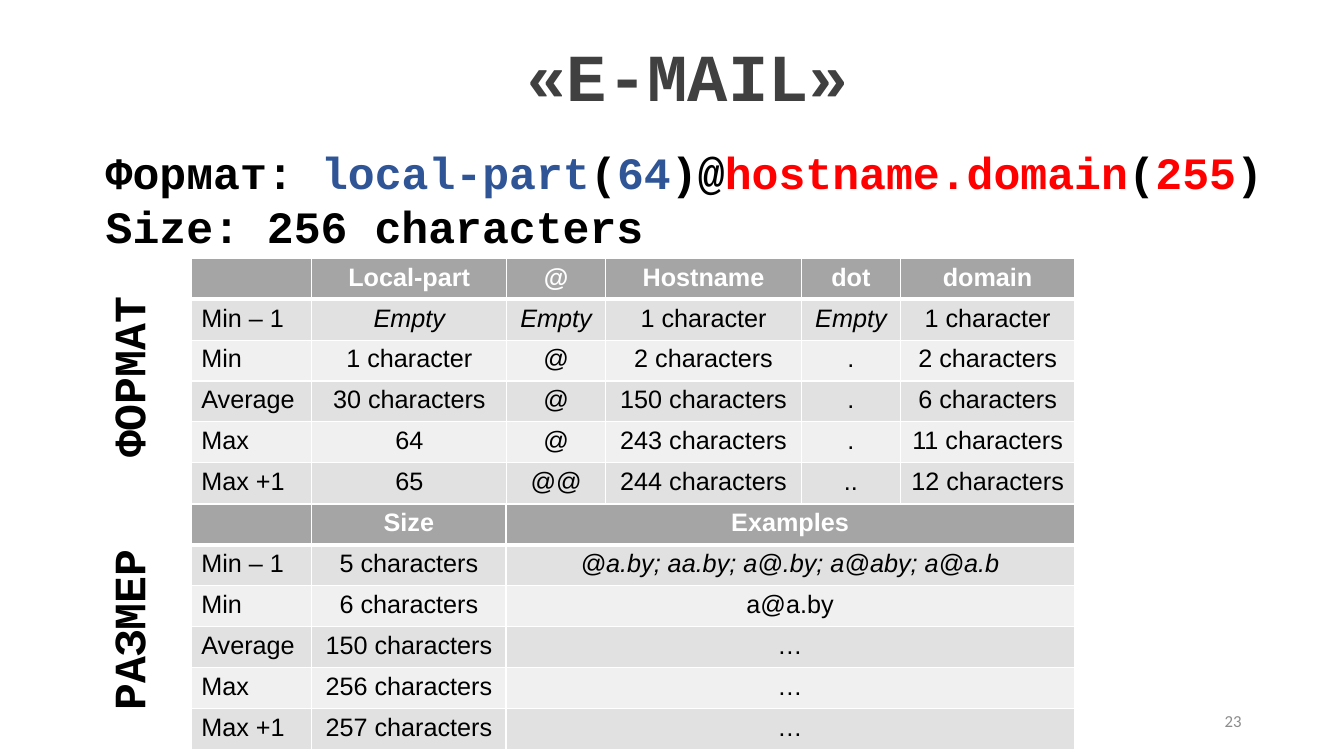
"""Build the slide on e-mail format and size limits."""
from dataclasses import dataclass

from lxml.etree import SubElement
from pptx import Presentation
from pptx.dml.color import RGBColor
from pptx.enum.text import MSO_ANCHOR, MSO_AUTO_SIZE, PP_ALIGN
from pptx.oxml.ns import qn
from pptx.util import Cm, Pt


@dataclass(frozen=True)
class Theme:
    mono: str = "Courier New"
    sans: str = "Arial"
    foot: str = "Calibri"
    title: int = 48
    lead: int = 32
    cell: int = 18
    small: int = 12
    dark: str = "404040"
    black: str = "000000"
    white: str = "FFFFFF"
    blue: str = "2F5597"
    red: str = "FF0000"
    gray: str = "8C8C8C"
    head: str = "A5A5A5"
    bands: tuple = ("F0F0F0", "E1E1E1")


T = Theme()


def write(para, text, face, size, color, bold=False, italic=False):
    run = para.add_run()
    run.text = text
    font = run.font
    font.name, font.size = face, Pt(size)
    font.bold, font.italic = bold, italic
    font.color.rgb = RGBColor.from_string(color)


def place(shape, left, top, width, height):
    shape.left, shape.top = Cm(left), Cm(top)
    shape.width, shape.height = Cm(width), Cm(height)
    frame = shape.text_frame
    frame.word_wrap = False
    frame.auto_size = MSO_AUTO_SIZE.NONE
    frame.vertical_anchor = MSO_ANCHOR.TOP
    return frame


deck = Presentation()
deck.slide_width, deck.slide_height = Cm(33.87), Cm(19.05)
slide = deck.slides.add_slide(deck.slide_layouts[1])
shapes = slide.shapes

frame = place(shapes.title, 12.98, 0.74, 8.71, 2.31)
write(frame.paragraphs[0], "«E-MAIL»", T.mono, T.title, T.dark, True)

lines = [
    [("Формат: ", T.black), ("local-part", T.blue), ("(", T.black),
     ("64", T.blue), (")@", T.black), ("hostname.domain", T.red),
     ("(", T.black), ("255", T.red), (")", T.black)],
    [("Size: 256 characters", T.black)],
]
frame = place(slide.placeholders[1], 2.41, 3.53, 30, 3)
for num, line in enumerate(lines):
    para = frame.add_paragraph() if num else frame.paragraphs[0]
    para.space_before = Pt(0)
    props = para._p.get_or_add_pPr()
    props.set("marL", "0")
    props.set("indent", "0")
    SubElement(props, qn("a:buNone"))
    for text, color in line:
        write(para, text, T.mono, T.lead, color, True)

for label, top in (("ФОРМАТ", 7.42), ("РАЗМЕР", 13.79)):
    box = shapes.add_textbox(0, 0, 0, 0)
    frame = place(box, 2.41, top, 1.88, 4.37)
    box.element.txBody.bodyPr.set("vert", "vert270")
    write(frame.paragraphs[0], label, T.mono, T.lead, T.black, True)

names = ["", "Min – 1", "Min", "Average", "Max", "Max +1"]
parts = [
    ["Local-part", "@", "Hostname", "dot", "domain"],
    ["Empty", "Empty", "1 character", "Empty", "1 character"],
    ["1 character", "@", "2 characters", ".", "2 characters"],
    ["30 characters", "@", "150 characters", ".", "6 characters"],
    ["64", "@", "243 characters", ".", "11 characters"],
    ["65", "@@", "244 characters", "..", "12 characters"],
]
faulty = "@a.by; aa.by; a@.by; a@aby; a@a.b"
sizes = [
    ["Size", "Examples"],
    ["5 characters", faulty],
    ["6 characters", "a@a.by"],
    ["150 characters", "…"],
    ["256 characters", "…"],
    ["257 characters", "…"],
]
grids = [
    (6.51, [3.04, 4.91, 2.49, 4.94, 2.49, 4.4], parts),
    (12.7, [3.04, 4.89, 14.32], sizes),
]
high = 1.03
for top, widths, rows in grids:
    table = shapes.add_table(
        len(rows), len(widths), Cm(4.82), Cm(top),
        Cm(sum(widths)), Cm(high * len(rows))).table
    for col, width in zip(table.columns, widths):
        col.width = Cm(width)
    for r, (name, row) in enumerate(zip(names, rows)):
        table.rows[r].height = Cm(high)
        for c, text in enumerate([name] + row):
            cell = table.cell(r, c)
            props = cell._tc.get_or_add_tcPr()
            for side in "LRTB":
                thick = (r, side) in ((0, "B"), (1, "T"))
                edge = SubElement(props, qn(f"a:ln{side}"),
                                  w=str(Pt(3 if thick else 1)))
                fill = SubElement(edge, qn("a:solidFill"))
                SubElement(fill, qn("a:srgbClr"), val=T.white)
            cell.fill.solid()
            shade = T.bands[r % 2] if r else T.head
            cell.fill.fore_color.rgb = RGBColor.from_string(shade)
            para = cell.text_frame.paragraphs[0]
            para.alignment = PP_ALIGN.CENTER if c else PP_ALIGN.LEFT
            if text:
                write(para, text, T.sans, T.cell, T.black if r else T.white,
                      r == 0, text in ("Empty", faulty))

frame = place(shapes.add_textbox(0, 0, 0, 0), 23.92, 17.66, 7.62, 1.01)
frame.word_wrap = True
frame.vertical_anchor = MSO_ANCHOR.MIDDLE
para = frame.paragraphs[0]
para.alignment = PP_ALIGN.RIGHT
write(para, "23", T.foot, T.small, T.gray)

deck.save("out.pptx")
